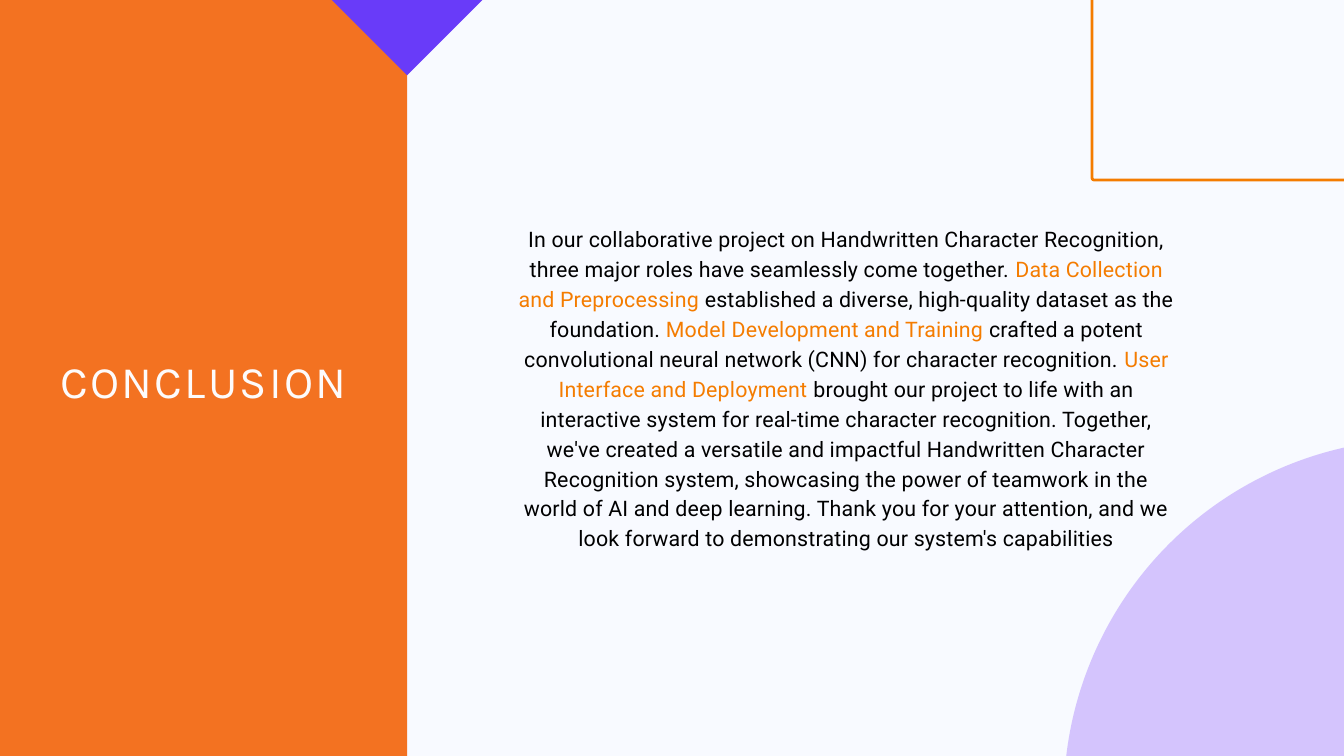
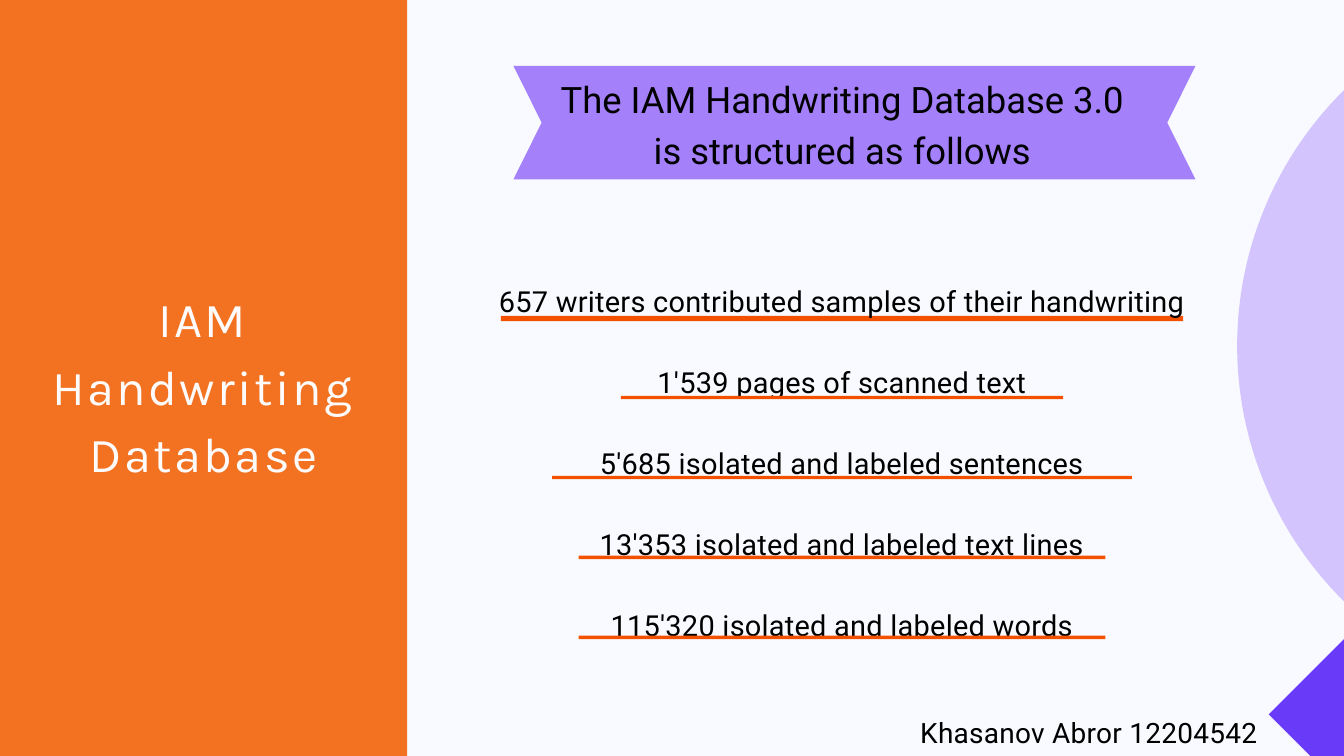
from lxml.etree import SubElement
from pptx import Presentation
from pptx.dml.color import RGBColor
from pptx.enum.shapes import MSO_SHAPE
from pptx.enum.text import MSO_ANCHOR, MSO_AUTO_SIZE, PP_ALIGN
from pptx.oxml.ns import qn
from pptx.util import Inches, Pt

WIDTH, HEIGHT = 20, 11.25
BAND_WIDTH = 6.06
TITLE_LEFT, TITLE_WIDTH = 0.31, 5.44
CIRCLE_SIZE, DIAMOND_SIZE = 10.69, 2.68

BACKGROUND = RGBColor(0xF8, 0xFA, 0xFF)
BAND = RGBColor(0xF3, 0x72, 0x21)
ACCENT = RGBColor(0xF4, 0x7C, 0x00)
UNDERLINE = RGBColor(0xF3, 0x50, 0x00)
DIAMOND = RGBColor(0x69, 0x3B, 0xF9)
VIOLET = RGBColor(0x73, 0x36, 0xF9)
TITLE_COLOR = RGBColor(0xFD, 0xFB, 0xFB)
BLACK = RGBColor(0, 0, 0)

CONCLUSION_TITLE = "CONCLUSION"
CONCLUSION = [
    ("In our collaborative project on Handwritten Character Recognition, "
     "three major roles have seamlessly come together. ", BLACK),
    ("Data Collection and Preprocessing", ACCENT),
    (" established a diverse, high-quality dataset as the foundation. ", BLACK),
    ("Model Development and Training", ACCENT),
    (" crafted a potent convolutional neural network (CNN) "
     "for character recognition. ", BLACK),
    ("User Interface and Deployment ", ACCENT),
    ("brought our project to life with an interactive system for real-time "
     "character recognition. Together, we've created a versatile and impactful "
     "Handwritten Character Recognition system, showcasing the power of teamwork "
     "in the world of AI and deep learning. Thank you for your attention, and we "
     "look forward to demonstrating our system's capabilities", BLACK),
]

DATABASE_TITLE = "IAM Handwriting Database"
DATABASE_HEADING = "The IAM Handwriting Database 3.0 is structured as follows"
DATABASE_FACTS = [
    ("657 writers contributed samples of their handwriting", 10.15, 0.08),
    ("1'539 pages of scanned text", 6.58, 0.05),
    ("5'685 isolated and labeled sentences", 8.63, 0.05),
    ("13'353 isolated and labeled text lines", 7.84, 0.05),
    ("115'320 isolated and labeled words", 7.84, 0.05),
]
AUTHOR = "Khasanov Abror 12204542"
FACTS_CENTER, FIRST_UNDERLINE, UNDERLINE_STEP = 12.53, 4.7, 1.19
FACT_LINE = 43.4


def paint(shape, color, opacity=100):
    shape.shadow.inherit = False
    shape.line.fill.background()
    shape.fill.solid()
    shape.fill.fore_color.rgb = color
    if opacity < 100:
        color_element = shape.element.spPr.find(qn("a:solidFill"))[0]
        SubElement(color_element, qn("a:alpha"), val=str(opacity * 1000))


def add_block(slide, preset, box, color, opacity=100):
    shape = slide.shapes.add_shape(preset, *map(Inches, box))
    paint(shape, color, opacity)
    return shape


def add_circle(slide, left, top):
    add_block(slide, MSO_SHAPE.OVAL, (left, top, CIRCLE_SIZE, CIRCLE_SIZE), VIOLET, 27)


def add_diamond(slide, left, top):
    add_block(slide, MSO_SHAPE.DIAMOND, (left, top, DIAMOND_SIZE, DIAMOND_SIZE), DIAMOND)


def add_underlines(slide, start, stop):
    for row in range(start, stop):
        _, width, thickness = DATABASE_FACTS[row]
        top = FIRST_UNDERLINE + row * UNDERLINE_STEP
        add_block(slide, MSO_SHAPE.RECTANGLE,
                  (FACTS_CENTER - width / 2, top, width, thickness), UNDERLINE)


def fill_text(shape, box, paragraphs, font, size, line, tracking=0, gap=0):
    shape.left, shape.top, shape.width, shape.height = map(Inches, box)
    tree = shape.element.getparent()
    tree.append(shape.element)
    frame = shape.text_frame
    frame.word_wrap = True
    frame.auto_size = MSO_AUTO_SIZE.NONE
    frame.vertical_anchor = MSO_ANCHOR.TOP
    frame.margin_left = frame.margin_right = frame.margin_top = frame.margin_bottom = 0
    for index, runs in enumerate(paragraphs):
        paragraph = frame.add_paragraph() if index else frame.paragraphs[0]
        properties = paragraph._p.get_or_add_pPr()
        properties.set("marL", "0")
        properties.set("indent", "0")
        SubElement(properties, qn("a:buNone"))
        paragraph.alignment = PP_ALIGN.CENTER
        paragraph.line_spacing = Pt(line)
        paragraph.space_before = Pt(gap if index else 0)
        for text, color in runs:
            run = paragraph.add_run()
            run.text = text
            run.font.name = font
            run.font.size = Pt(size)
            run.font.color.rgb = color
            run._r.get_or_add_rPr().set("spc", str(round(tracking * 100)))


def add_label(slide, box, text, size, line, tracking=0):
    label = slide.shapes.add_textbox(0, 0, 0, 0)
    fill_text(label, box, [[(text, BLACK)]], "Roboto", size, line, tracking)


def add_slide(presentation, title, top, height, size, line, tracking):
    slide = presentation.slides.add_slide(presentation.slide_layouts[1])
    add_block(slide, MSO_SHAPE.RECTANGLE, (0, 0, BAND_WIDTH, HEIGHT), BAND)
    fill_text(slide.shapes.title, (TITLE_LEFT, top, TITLE_WIDTH, height),
              [[(title, TITLE_COLOR)]], "Karla", size, line, tracking)
    return slide


def add_frame(slide):
    frame = slide.shapes.add_shape(MSO_SHAPE.ROUNDED_RECTANGLE,
                                   *map(Inches, (16.25, -0.86, 11.01, 3.54)))
    frame.adjustments[0] = 0.01
    frame.shadow.inherit = False
    frame.fill.background()
    frame.line.color.rgb = ACCENT
    frame.line.width = Pt(3)


def add_ribbon(slide, left, top, width, height, notch):
    right, middle, bottom = left + width, top + height / 2, top + height
    points = [(right, top), (left, top), (left + notch, middle),
              (left, bottom), (right, bottom), (right - notch, middle)]
    corners = [(Inches(x), Inches(y)) for x, y in points]
    builder = slide.shapes.build_freeform(*corners[0])
    builder.add_line_segments(corners[1:], close=True)
    paint(builder.convert_to_shape(), VIOLET, 62)


def build_conclusion(presentation):
    slide = add_slide(presentation, CONCLUSION_TITLE, 5.14, 0.88, 48.3, 66.7, 2.4)
    add_diamond(slide, BAND_WIDTH - DIAMOND_SIZE / 2, -1.56)
    add_frame(slide)
    fill_text(slide.placeholders[1], (7.71, 3.3, 9.77, 5.68),
              [CONCLUSION], "Roboto", 22.9, 32.1, 0.2)
    add_circle(slide, 15.83, 6.53)


def build_database(presentation):
    slide = add_slide(presentation, DATABASE_TITLE, 4.17, 3.97, 52.3, 72.2, 2.6)
    add_circle(slide, 18.41, -0.2)
    add_diamond(slide, 18.88, 9.29)
    add_underlines(slide, 0, 1)
    facts = [[(text, BLACK)] for text, _, _ in DATABASE_FACTS]
    fill_text(slide.placeholders[1], (6.88, 4.14, 11.3, 5.33),
              facts, "Roboto", 31, FACT_LINE, 0.3, gap=FACT_LINE)
    add_underlines(slide, 1, len(DATABASE_FACTS))
    add_ribbon(slide, 7.64, 0.98, 10.15, 1.69, 0.42)
    add_label(slide, (8.22, 1.04, 8.63, 1.47), DATABASE_HEADING, 39, 54.6)
    add_label(slide, (13.53, 10.57, 5.35, 0.56), AUTHOR, 30, 42, 0.3)


def main():
    presentation = Presentation()
    presentation.slide_width = Inches(WIDTH)
    presentation.slide_height = Inches(HEIGHT)
    background = presentation.slide_master.background.fill
    background.solid()
    background.fore_color.rgb = BACKGROUND
    build_conclusion(presentation)
    build_database(presentation)
    presentation.save("out.pptx")


if __name__ == "__main__":
    main()
